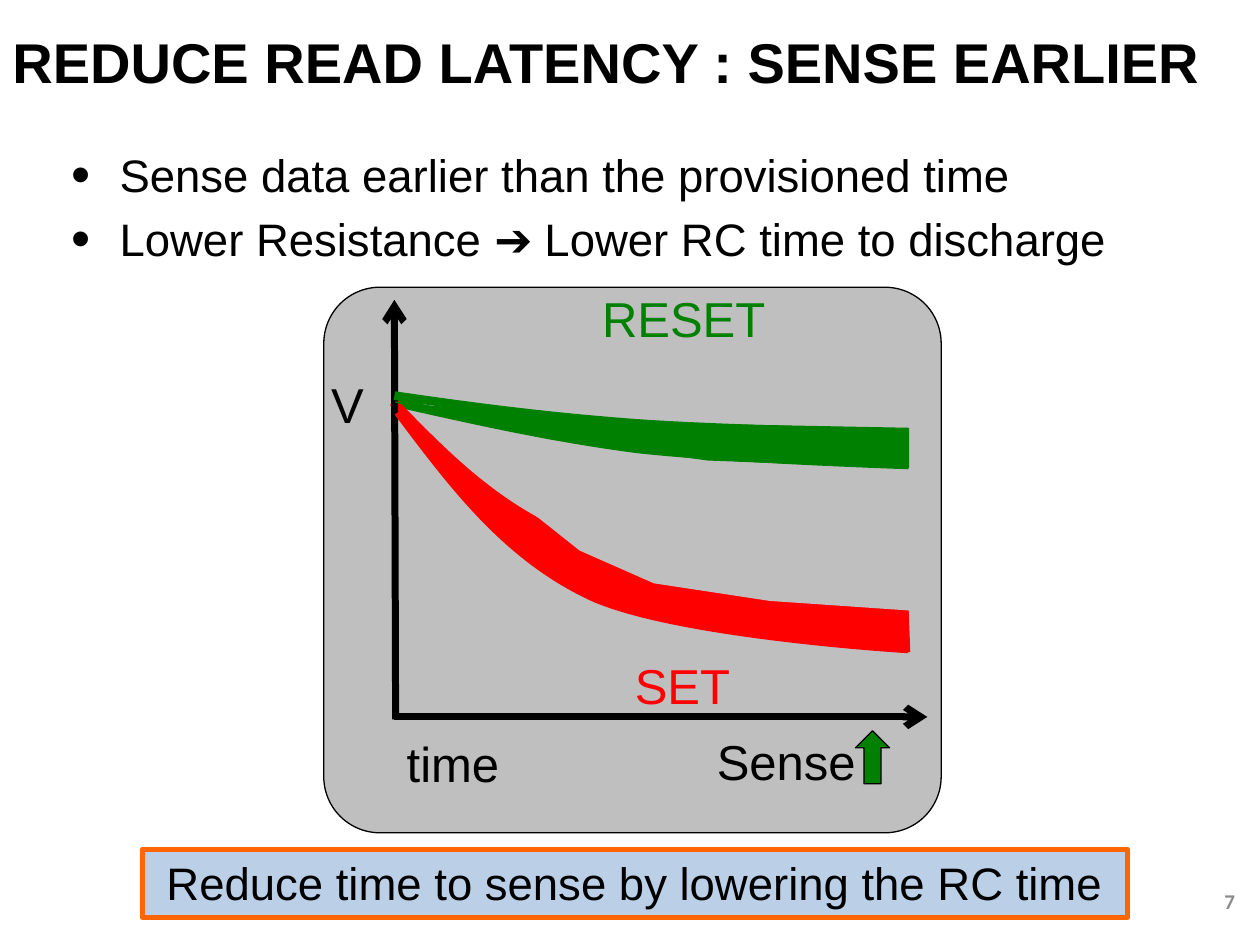
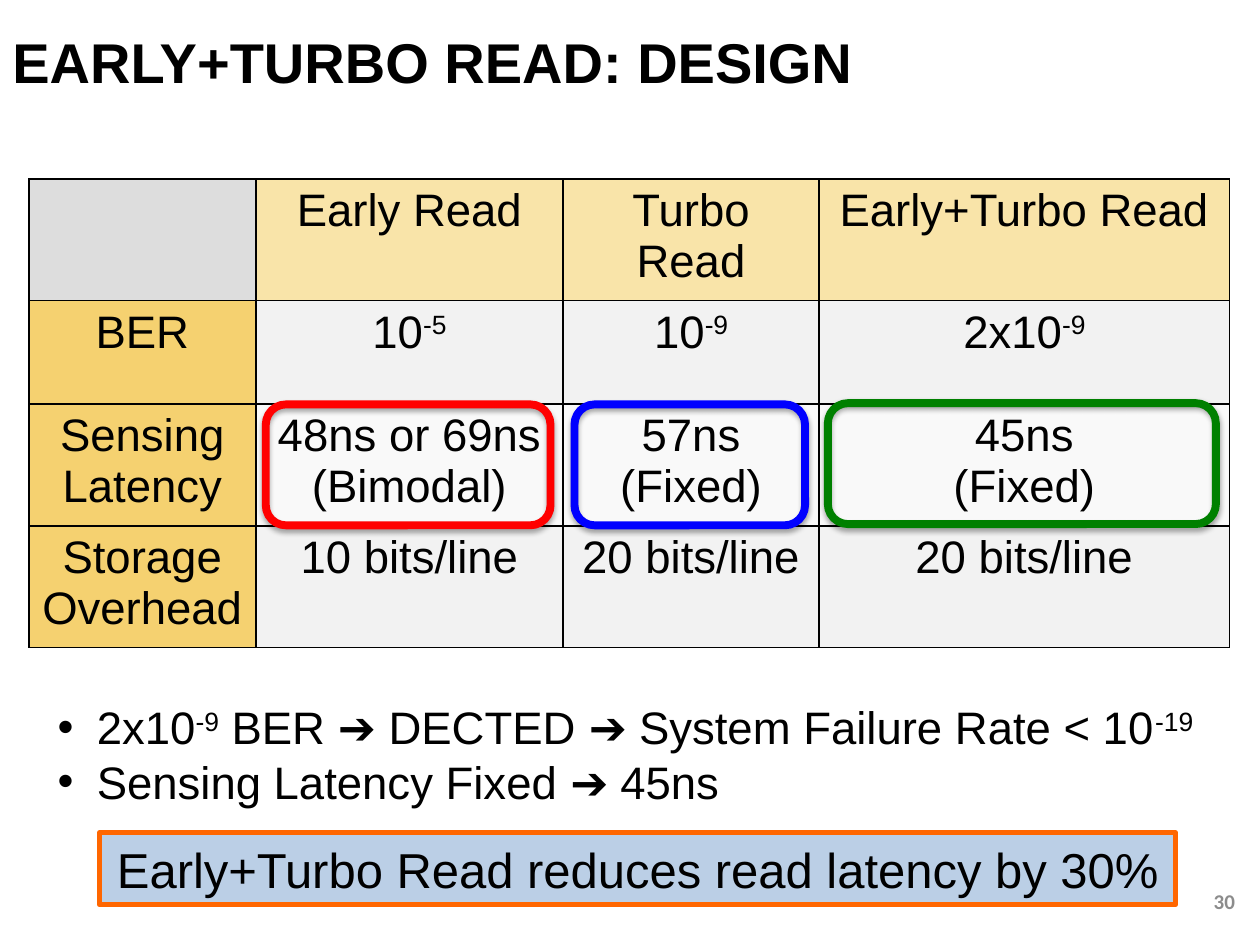
from dataclasses import dataclass

import pptx
import pptx.dml.color
import pptx.enum.shapes
import pptx.enum.text
import pptx.oxml.ns
import pptx.util
from lxml import etree
from pptx.util import Inches

SHAPES = pptx.enum.shapes.MSO_SHAPE
ALIGN = pptx.enum.text.PP_ALIGN
ANCHOR = pptx.enum.text.MSO_ANCHOR
qn = pptx.oxml.ns.qn
Point = tuple[float, float]


@dataclass(frozen=True)
class Theme:
    font: str = "Arial"
    number_font: str = "Calibri"
    black: str = "000000"
    red: str = "FF0000"
    green: str = "008000"
    blue: str = "0000FF"
    panel: str = "BFBFBF"
    number: str = "8C8C8C"
    banner_fill: str = "BBCFE6"
    banner_line: str = "FF6600"
    corner: str = "DDDDDD"
    column_head: str = "F9E4A9"
    row_head: str = "F5D170"
    cell: str = "F2F2F2"
    cell_focus: str = "F9F9F9"
    title_size: float = 32
    body_size: float = 26
    label_size: float = 28
    number_size: float = 12


THEME = Theme()


@dataclass(frozen=True)
class Area:
    left: float
    top: float
    width: float
    height: float

    def lengths(self) -> list[int]:
        return [Inches(v) for v in (self.left, self.top, self.width, self.height)]


@dataclass(frozen=True)
class Style:
    size: float = THEME.body_size
    color: str = THEME.black
    bold: bool = False
    font: str = THEME.font
    align: ALIGN = ALIGN.LEFT


@dataclass(frozen=True)
class Label:
    text: str
    area: Area
    color: str = THEME.black


@dataclass(frozen=True)
class Outline:
    """Corner points, or Bézier control points when curved."""
    points: list[Point]
    color: str
    curved: bool = False
    line: float = 0.75


@dataclass(frozen=True)
class Highlight:
    area: Area
    color: str


# Shared drawing functions

def rgb(color: str) -> pptx.dml.color.RGBColor:
    return pptx.dml.color.RGBColor.from_string(color)


def paint(shape, fill: str | None, line: str | None, width: float = 0.75) -> None:
    shape.shadow.inherit = False
    if fill:
        shape.fill.solid()
        shape.fill.fore_color.rgb = rgb(fill)
    else:
        shape.fill.background()
    if line:
        shape.line.color.rgb = rgb(line)
        shape.line.width = pptx.util.Pt(width)
    else:
        shape.line.fill.background()


def write(frame, lines: list[str], style: Style) -> None:
    """Fill a text frame; text between ^ marks is superscript."""
    frame.text = "\n".join(line.split("^")[0] for line in lines)
    for para, line in zip(frame.paragraphs, lines):
        para.alignment = style.align
        for part in line.split("^")[1:]:
            para.add_run().text = part
        for index, span in enumerate(para.runs):
            span.font.name = style.font
            span.font.size = pptx.util.Pt(style.size)
            span.font.bold = style.bold
            span.font.color.rgb = rgb(style.color)
            if index % 2:
                span.font._element.set("baseline", "30000")


def add_text(page, area: Area, lines: list[str], style: Style, anchor=ANCHOR.TOP):
    box = page.shapes.add_textbox(*area.lengths())
    box.text_frame.word_wrap = True
    box.text_frame.vertical_anchor = anchor
    write(box.text_frame, lines, style)
    return box


def add_bullets(page, area: Area, lines: list[str], indent: float,
                bullet_percent: int = 100, gap: float = 0) -> None:
    box = add_text(page, area, lines, Style())
    for para in box.text_frame.paragraphs:
        para.space_before = pptx.util.Pt(gap)
        props = para._p.get_or_add_pPr()
        props.set("marL", str(Inches(indent)))
        props.set("indent", str(-Inches(indent)))
        etree.SubElement(props, qn("a:buSzPct"), val=str(bullet_percent * 1000))
        etree.SubElement(props, qn("a:buFont"), typeface=THEME.font)
        etree.SubElement(props, qn("a:buChar"), char="•")


def add_page(deck, title: str, number: str):
    page = deck.slides.add_slide(deck.slide_layouts[6])
    add_text(page, Area(0, 0.22, 10, 0.53), [title],
             Style(THEME.title_size, bold=True), ANCHOR.MIDDLE)
    add_text(page, Area(7.57, 6.95, 2.33, 0.4), [number],
             Style(THEME.number_size, THEME.number, True, THEME.number_font, ALIGN.RIGHT),
             ANCHOR.MIDDLE)
    return page


def add_banner(page, area: Area, text: str, size: float) -> None:
    banner = page.shapes.add_shape(SHAPES.RECTANGLE, *area.lengths())
    paint(banner, THEME.banner_fill, THEME.banner_line, 3)
    banner.text_frame.word_wrap = True
    banner.text_frame.vertical_anchor = ANCHOR.TOP
    write(banner.text_frame, [text], Style(size, align=ALIGN.CENTER))


def add_axis(page, start: Point, end: Point) -> None:
    axis = page.shapes.add_connector(pptx.enum.shapes.MSO_CONNECTOR.STRAIGHT,
                                     *(Inches(v) for v in start + end))
    axis.line.color.rgb = rgb(THEME.black)
    axis.line.width = pptx.util.Pt(4)
    etree.SubElement(axis.line._get_or_add_ln(), qn("a:tailEnd"), type="arrow")
    etree.SubElement(axis._element.spPr, qn("a:effectLst"))


def bend(shape) -> None:
    """Join every three line segments into one cubic Bézier segment."""
    segments = list(shape._element.iter(qn("a:lnTo")))
    for first in range(0, len(segments), 3):
        curve = etree.Element(qn("a:cubicBezTo"))
        segments[first].addprevious(curve)
        for segment in segments[first:first + 3]:
            curve.append(segment[0])
            segment.getparent().remove(segment)


def add_outline(page, outline: Outline) -> None:
    start, *rest = [(Inches(x), Inches(y)) for x, y in outline.points]
    builder = page.shapes.build_freeform(*start)
    builder.add_line_segments(rest, close=not outline.curved)
    shape = builder.convert_to_shape()
    if outline.curved:
        bend(shape)
    paint(shape, None if outline.curved else outline.color,
          outline.color if outline.line else None, outline.line)


def add_highlight(page, highlight: Highlight) -> None:
    frame = page.shapes.add_shape(SHAPES.ROUNDED_RECTANGLE, *highlight.area.lengths())
    paint(frame, None, highlight.color, 4.5)
    effects = frame._element.spPr.find(qn("a:effectLst"))
    shadow = etree.SubElement(effects, qn("a:outerShdw"), blurRad=str(pptx.util.Pt(3.1)),
                              dist=str(pptx.util.Pt(1.8)), dir="5400000", rotWithShape="0")
    tint = etree.SubElement(shadow, qn("a:srgbClr"), val=THEME.black)
    etree.SubElement(tint, qn("a:alpha"), val="35000")


def style_cell(cell, text: str, fill: str) -> None:
    if text:
        write(cell.text_frame, text.split("\n"), Style(align=ALIGN.CENTER))
    props = cell._tc.get_or_add_tcPr()
    for side in ("a:lnL", "a:lnR", "a:lnT", "a:lnB"):
        border = etree.SubElement(props, qn(side), w=str(pptx.util.Pt(1)))
        solid = etree.SubElement(border, qn("a:solidFill"))
        etree.SubElement(solid, qn("a:srgbClr"), val=THEME.black)
    cell.fill.solid()
    cell.fill.fore_color.rgb = rgb(fill)


# Discharge chart

INNER_CURVES = [
    Outline([(3.12, 3.19), (3.74, 3.33), (4.36, 3.47), (5.04, 3.56),
             (5.72, 3.64), (7.21, 3.69), (7.21, 3.69)], THEME.green, True, 5),
    Outline([(3.12, 3.19), (3.55, 3.63), (3.98, 4.08), (4.66, 4.32),
             (5.34, 4.57), (7.21, 4.65), (7.21, 4.65)], THEME.red, True, 5),
]
OUTER_CURVES = [
    Outline([(3.16, 3.27), (3.59, 3.84), (4.01, 4.41), (4.69, 4.73),
             (5.36, 5.04), (7.21, 5.15), (7.21, 5.15)], THEME.red, True, 5),
    Outline([(3.13, 3.14), (3.74, 3.23), (4.36, 3.31), (5.04, 3.36),
             (5.72, 3.41), (7.21, 3.44), (7.21, 3.44)], THEME.green, True, 5),
]
BANDS = [
    Outline([(3.16, 3.29), (4.03, 4.32), (4.73, 4.78), (5.83, 5.03), (7.22, 5.17),
             (7.2, 4.65), (5.77, 4.57), (4.79, 4.38), (4.27, 4.15), (3.64, 3.71)], THEME.red),
    Outline([(3.14, 3.19), (4.36, 3.48), (5.62, 3.65), (7.21, 3.71), (7.21, 3.4),
             (5.13, 3.36), (4.49, 3.3), (3.21, 3.21)], THEME.green),
]
GAP = Outline([(3.87, 3.79), (4.6, 4.37), (5.19, 4.63), (6.11, 4.77), (7.28, 4.85),
               (7.27, 4.56), (6.07, 4.51), (5.24, 4.41), (4.8, 4.28), (4.27, 4.03)],
              THEME.panel, line=0)
LABELS = [
    Label("V", Area(2.53, 2.92, 0.96, 0.58)),
    Label("time", Area(3.13, 5.77, 0.94, 0.58)),
    Label("SET", Area(4.94, 5.15, 0.96, 0.58), THEME.red),
    Label("RESET", Area(4.68, 2.24, 1.5, 0.58), THEME.green),
    Label("Sense", Area(5.59, 5.76, 1.32, 0.57)),
]


def build_sense_page(deck) -> None:
    page = add_page(deck, "REDUCE READ LATENCY : SENSE EARLIER", "7")
    panel = page.shapes.add_shape(SHAPES.ROUNDED_RECTANGLE,
                                  *Area(2.57, 2.28, 4.9, 4.33).lengths())
    panel.adjustments[0] = 0.103
    paint(panel, THEME.panel, THEME.black)
    add_bullets(page, Area(0.47, 1.12, 9.18, 1.94),
                ["Sense data earlier than the provisioned time",
                 "Lower Resistance ➔ Lower RC time to discharge"], 0.38, 120, 5.2)
    add_banner(page, Area(1.13, 6.74, 7.82, 0.54),
               "Reduce time to sense by lowering the RC time", THEME.body_size)
    for curve in INNER_CURVES:
        add_outline(page, curve)
    add_axis(page, (3.14, 5.71), (3.13, 2.38))
    add_axis(page, (3.13, 5.69), (7.36, 5.69))
    for outline in [*OUTER_CURVES, *BANDS, GAP]:
        add_outline(page, outline)
    sense_arrow = page.shapes.add_shape(SHAPES.UP_ARROW,
                                        *Area(6.79, 5.8, 0.27, 0.42).lengths())
    paint(sense_arrow, THEME.green, THEME.black)
    for label in LABELS:
        add_text(page, label.area, [label.text],
                 Style(THEME.label_size, label.color)).text_frame.word_wrap = False


# Design comparison table

COLUMN_WIDTHS = [1.8, 2.44, 2.03, 3.26]
ROW_HEIGHT = 0.82
ROWS = [
    ["", "Early Read", "Turbo Read", "Early+Turbo Read"],
    ["BER", "10^-5", "10^-9", "2x10^-9"],
    ["Sensing Latency", "48ns or 69ns\n(Bimodal)", "57ns\n(Fixed)", "45ns\n(Fixed)"],
    ["Storage Overhead", "10 bits/line", "20 bits/line", "20 bits/line"],
]
ROW_FILLS = [THEME.column_head, THEME.cell, THEME.cell_focus, THEME.cell]
HIGHLIGHTS = [
    Highlight(Area(2.11, 3.21, 2.26, 0.96), THEME.red),
    Highlight(Area(4.56, 3.21, 1.83, 0.96), THEME.blue),
    Highlight(Area(6.57, 3.2, 3.08, 0.96), THEME.green),
]


def build_design_page(deck) -> None:
    page = add_page(deck, "EARLY+TURBO READ: DESIGN", "30")
    add_banner(page, Area(0.79, 6.61, 8.54, 0.57),
               "Early+Turbo Read reduces read latency by 30%", THEME.label_size)
    add_bullets(page, Area(0.36, 5.5, 9.49, 0.98),
                ["2x10^-9^ BER ➔ DECTED ➔ System Failure Rate < 10^-19",
                 "Sensing Latency Fixed ➔ 45ns"], 0.31)
    area = Area(0.23, 1.42, sum(COLUMN_WIDTHS), ROW_HEIGHT * len(ROWS))
    table = page.shapes.add_table(len(ROWS), len(COLUMN_WIDTHS), *area.lengths()).table
    table.first_row = table.horz_banding = False
    for column, width in zip(table.columns, COLUMN_WIDTHS):
        column.width = Inches(width)
    for r, texts in enumerate(ROWS):
        head = THEME.row_head if r else THEME.corner
        for c, text in enumerate(texts):
            style_cell(table.cell(r, c), text, ROW_FILLS[r] if c else head)
    for highlight in HIGHLIGHTS:
        add_highlight(page, highlight)


def main() -> None:
    deck = pptx.Presentation()
    deck.slide_width, deck.slide_height = Inches(10), Inches(7.5)
    build_sense_page(deck)
    build_design_page(deck)
    deck.save("out.pptx")


if __name__ == "__main__":
    main()
